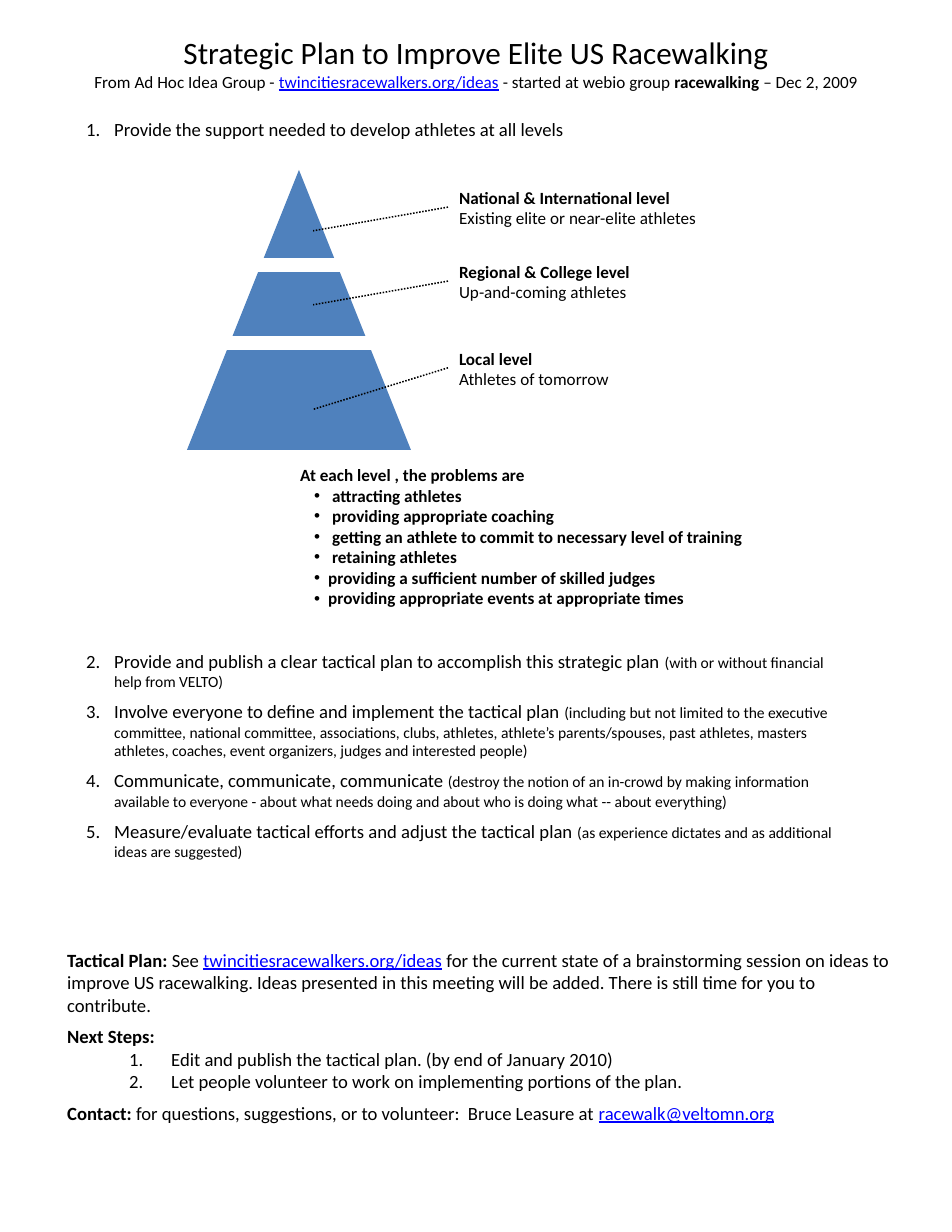
"""Build a one-page strategic plan with a three-tier athlete pyramid."""
from dataclasses import dataclass
from typing import NamedTuple

from lxml import etree
from pptx import Presentation
from pptx import util as u
from pptx.dml.color import RGBColor
from pptx.enum import dml, shapes, text
from pptx.oxml.ns import qn

PIXEL = u.Inches(1) / 112


@dataclass(frozen=True)
class Theme:
    """Colours, font and type sizes of the page."""
    font: str = "Calibri"
    ink: RGBColor = RGBColor(0, 0, 0)
    link: RGBColor = RGBColor(0, 0, 255)
    pyramid: RGBColor = RGBColor(0x4F, 0x81, 0xBD)
    paper: RGBColor = RGBColor(255, 255, 255)
    title: int = 20
    item: int = 12
    label: int = 11
    detail: int = 10


THEME = Theme()


class Box(NamedTuple):
    """Place and size in pixels."""
    left: int
    top: int
    width: int
    height: int


class Piece(NamedTuple):
    """A stretch of text in one format."""
    words: str
    size: int = THEME.item
    bold: bool = False
    link: bool = False


class Line(NamedTuple):
    """A paragraph with its bullet, indents in pixels and space in points."""
    pieces: list[Piece]
    bullet: str = ""
    start: int = 1
    margin: int = 0
    hanging: int = 0
    before: int = 0
    level: int = 0
    align: text.PP_ALIGN = text.PP_ALIGN.LEFT


class Tier(NamedTuple):
    """A pyramid level and the place of its callout."""
    name: str
    athletes: str
    top: int
    height: int


def px(pixels: int) -> int:
    """Turn pixels into EMU."""
    return round(pixels * PIXEL)


def emu(box: Box) -> tuple[int, ...]:
    """Turn a box into EMU."""
    return tuple(px(length) for length in box)


def set_bullet(paragraph, line: Line) -> None:
    """Give a paragraph its indents and its number, dot or no bullet."""
    properties = paragraph._p.get_or_add_pPr()
    properties.set("marL", str(px(line.margin)))
    properties.set("indent", str(px(-line.hanging)))
    if line.bullet == "number":
        number = etree.SubElement(properties, qn("a:buAutoNum"), type="arabicPeriod")
        if line.start > 1:
            number.set("startAt", str(line.start))
    elif line.bullet:
        etree.SubElement(properties, qn("a:buFont"), typeface="Arial")
        etree.SubElement(properties, qn("a:buChar"), char=line.bullet)
    else:
        etree.SubElement(properties, qn("a:buNone"))


def write(shape, lines: list[Line], anchor=text.MSO_ANCHOR.TOP) -> None:
    """Fill a shape with formatted paragraphs."""
    frame = shape.text_frame
    frame.word_wrap = True
    frame.auto_size = text.MSO_AUTO_SIZE.NONE
    frame.vertical_anchor = anchor
    for index, line in enumerate(lines):
        paragraph = frame.paragraphs[0] if index == 0 else frame.add_paragraph()
        paragraph.level = line.level
        paragraph.alignment = line.align
        paragraph.space_before = u.Pt(line.before)
        set_bullet(paragraph, line)
        for piece in line.pieces:
            run = paragraph.add_run()
            run.text = piece.words
            run.font.name = THEME.font
            run.font.size = u.Pt(piece.size)
            run.font.bold = piece.bold
            run.font.underline = piece.link
            run.font.color.rgb = THEME.link if piece.link else THEME.ink


def fill_placeholder(placeholder, box: Box, lines: list[Line]) -> None:
    """Move a placeholder and write its text."""
    placeholder.left, placeholder.top, placeholder.width, placeholder.height = emu(box)
    write(placeholder, lines)


def draw_block(slide, kind: shapes.MSO_SHAPE, box: Box, fill: RGBColor):
    """Draw a plain filled shape without a line."""
    shape = slide.shapes.add_shape(kind, *emu(box))
    shape.shadow.inherit = False
    shape.fill.solid()
    shape.fill.fore_color.rgb = fill
    shape.line.fill.background()
    return shape


def draw_callout(slide, tier: Tier) -> None:
    """Draw a tier label with its dotted leader."""
    box = Box(448, tier.top, 355, tier.height)
    shape = slide.shapes.add_shape(shapes.MSO_SHAPE.LINE_CALLOUT_1_NO_BORDER, *emu(box))
    shape.shadow.inherit = False
    shape.fill.background()
    shape.line.color.rgb = THEME.ink
    shape.line.width = u.Pt(1)
    shape.line.dash_style = dml.MSO_LINE.ROUND_DOT
    for index, value in enumerate((0.49, 0, 1.13, -0.38)):
        shape.adjustments[index] = value
    write(shape, [Line([Piece(tier.name, THEME.label, bold=True)]),
                  Line([Piece(tier.athletes, THEME.label)])], text.MSO_ANCHOR.MIDDLE)


def numbered(words: str, detail: str = "", start: int = 1, before: int = 0) -> Line:
    """Make a numbered strategy with an optional smaller remark."""
    pieces = [Piece(words)] + ([Piece(detail, THEME.detail)] if detail else [])
    return Line(pieces, "number", start, 28, 28, before)


def next_step(words: str) -> Line:
    """Make a numbered next step."""
    return Line([Piece(words)], "number", margin=104, hanging=42, level=1)


TIERS = [
    Tier("National & International level", "Existing elite or near-elite athletes", 189, 37),
    Tier("Regional & College level", "Up-and-coming athletes", 263, 37),
    Tier("Local level", "Athletes of tomorrow", 336, 65),
]
SITE = "twincitiesracewalkers.org/ideas"
HEADING = [
    Line([Piece("Strategic Plan to Improve Elite US Racewalking", THEME.title)],
         align=text.PP_ALIGN.CENTER),
    Line([Piece("From Ad Hoc Idea Group - ", THEME.label),
          Piece(SITE, THEME.label, link=True),
          Piece(" - started at webio group ", THEME.label),
          Piece("racewalking", THEME.label, bold=True),
          Piece(" – Dec 2, 2009", THEME.label)], align=text.PP_ALIGN.CENTER),
]
FIRST_STRATEGY = [numbered("Provide the support needed to develop athletes at all levels")]
PROBLEMS = [Line([Piece("At each level , the problems are", THEME.label, bold=True)])] + [
    Line([Piece(problem, THEME.label, bold=True)], "•", margin=28, hanging=14)
    for problem in (" attracting athletes", " providing appropriate coaching",
                    " getting an athlete to commit to necessary level of training",
                    " retaining athletes", "providing a sufficient number of skilled judges",
                    "providing appropriate events at appropriate times")]
STRATEGIES = [numbered(words, detail, 2, 6) for words, detail in (
    ("Provide and publish a clear tactical plan to accomplish this strategic plan ",
     "(with or without financial help from VELTO)"),
    ("Involve everyone to define and implement the tactical plan ",
     "(including but not limited to the executive committee, national committee, associations, "
     "clubs, athletes, athlete’s parents/spouses, past athletes, masters athletes, coaches, "
     "event organizers, judges and interested people)"),
    ("Communicate, communicate, communicate ",
     "(destroy the notion of an in-crowd by making information available to everyone - "
     "about what needs doing and about who is doing what -- about everything)"),
    ("Measure/evaluate tactical efforts and adjust the tactical plan ",
     "(as experience dictates and as additional ideas are suggested)"))]
TACTICS = [
    Line([Piece("Tactical Plan: ", bold=True), Piece("See "), Piece(SITE, link=True),
          Piece(" for the current state of a brainstorming session on ideas to improve US "
                "racewalking. Ideas presented in this meeting will be added. There is still "
                "time for you to contribute.")], before=6),
    Line([Piece("Next Steps:", bold=True)], before=6),
    next_step("Edit and publish the tactical plan. (by end of January 2010)"),
    next_step("Let people volunteer to work on implementing portions of the plan."),
    Line([Piece("Contact: ", bold=True),
          Piece("for questions, suggestions, or to volunteer:  Bruce Leasure at "),
          Piece("racewalk@veltomn.org", link=True)], before=6),
]
SECTIONS = [
    (Box(0, 28, 952, 69), HEADING),
    (Box(75, 112, 775, 34), FIRST_STRATEGY),
    (Box(289, 459, 485, 157), PROBLEMS),
    (Box(75, 644, 775, 222), STRATEGIES),
    (Box(56, 943, 849, 186), TACTICS),
]

presentation = Presentation()
presentation.slide_width, presentation.slide_height = px(952), px(1232)
slide = presentation.slides.add_slide(presentation.slide_layouts[4])
draw_block(slide, shapes.MSO_SHAPE.ISOSCELES_TRIANGLE, Box(187, 170, 224, 280), THEME.pyramid)
for gap_top in (260, 338):
    gap = draw_block(slide, shapes.MSO_SHAPE.RECTANGLE, Box(187, gap_top, 224, 11), THEME.paper)
    gap.line.color.rgb = THEME.paper
    gap.line.width = u.Pt(2)
for pyramid_tier in TIERS:
    draw_callout(slide, pyramid_tier)
for section_placeholder, (section_box, section_lines) in zip(slide.placeholders, SECTIONS):
    fill_placeholder(section_placeholder, section_box, section_lines)
presentation.save("out.pptx")
